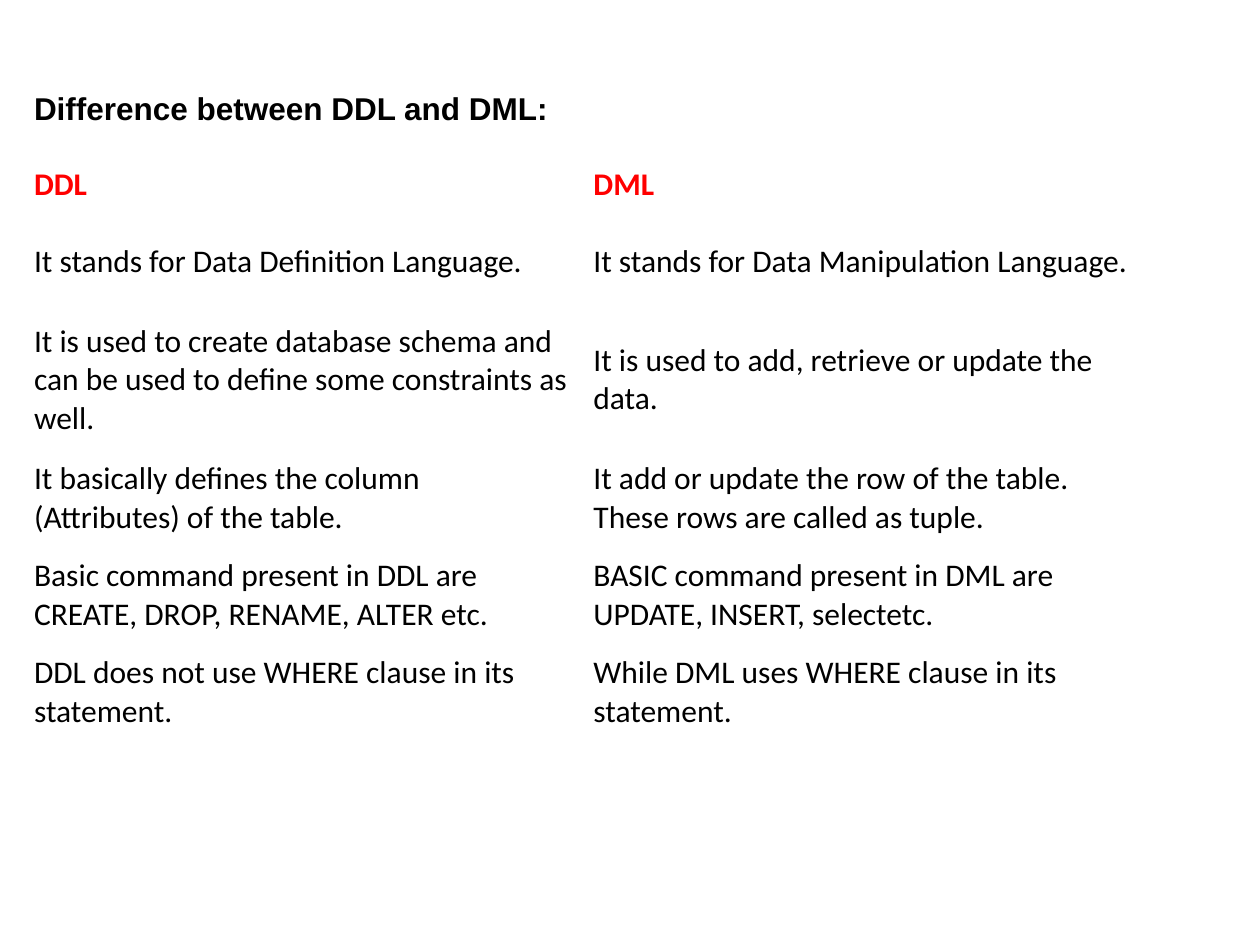
import pptx
import pptx.dml.color
import pptx.enum.text
import pptx.util

BLACK = pptx.dml.color.RGBColor(0x00, 0x00, 0x00)
RED = pptx.dml.color.RGBColor(0xFF, 0x00, 0x00)
TEXT_SIZE = pptx.util.Pt(18)

HEADING = "Difference between DDL and DML:"
COMPARISON = [
    ("DDL", "DML"),
    ("It stands for Data Definition Language.",
     "It stands for Data Manipulation Language."),
    ("It is used to create database schema and can be used to define some constraints as well.",
     "It is used to add, retrieve or update the data."),
    ("It basically defines the column (Attributes) of the table.",
     "It add or update the row of the table. These rows are called as tuple."),
    ("Basic command present in DDL are CREATE, DROP, RENAME, ALTER etc.",
     "BASIC command present in DML are UPDATE, INSERT, selectetc."),
    ("DDL does not use WHERE clause in its statement.",
     "While DML uses WHERE clause in its statement."),
]

# Inches
LEFT = 0.17
HEADING_TOP, HEADING_WIDTH, HEADING_HEIGHT = 0.66, 10.78, 0.4
TABLE_TOP = 1.25
COLUMN_WIDTH = 4.44
ROW_HEIGHTS = [0.44, 0.77, 1.11, 0.77, 0.77, 0.77]


def format_text(text_frame, font_name, color, bold):
    text_frame.word_wrap = True
    text_frame.vertical_anchor = pptx.enum.text.MSO_ANCHOR.MIDDLE
    for paragraph in text_frame.paragraphs:
        paragraph.alignment = pptx.enum.text.PP_ALIGN.LEFT
        for run in paragraph.runs:
            run.font.name = font_name
            run.font.size = TEXT_SIZE
            run.font.bold = bold
            run.font.color.rgb = color


def add_heading(slide):
    heading = slide.shapes.title
    heading.left, heading.top, heading.width, heading.height = map(
        pptx.util.Inches, (LEFT, HEADING_TOP, HEADING_WIDTH, HEADING_HEIGHT))
    heading.text_frame.text = HEADING
    format_text(heading.text_frame, "Arial", BLACK, True)


def add_comparison(slide):
    column_count = len(COMPARISON[0])
    bounds = map(pptx.util.Inches, (
        LEFT, TABLE_TOP, COLUMN_WIDTH * column_count, sum(ROW_HEIGHTS)))
    table = slide.shapes.add_table(len(COMPARISON), column_count, *bounds).table
    table.first_row = False
    table.horz_banding = False
    for row_index, statements in enumerate(COMPARISON):
        table.rows[row_index].height = pptx.util.Inches(ROW_HEIGHTS[row_index])
        is_header = row_index == 0
        for column_index, statement in enumerate(statements):
            cell = table.cell(row_index, column_index)
            cell.fill.background()
            cell.vertical_anchor = pptx.enum.text.MSO_ANCHOR.MIDDLE
            cell.text_frame.text = statement
            format_text(cell.text_frame, "Calibri", RED if is_header else BLACK, is_header)


def main():
    presentation = pptx.Presentation()
    presentation.slide_width = pptx.util.Inches(10)
    presentation.slide_height = pptx.util.Inches(7.5)
    slide = presentation.slides.add_slide(presentation.slide_layouts.get_by_name("Title Only"))
    add_comparison(slide)
    add_heading(slide)
    presentation.save("out.pptx")


if __name__ == "__main__":
    main()
